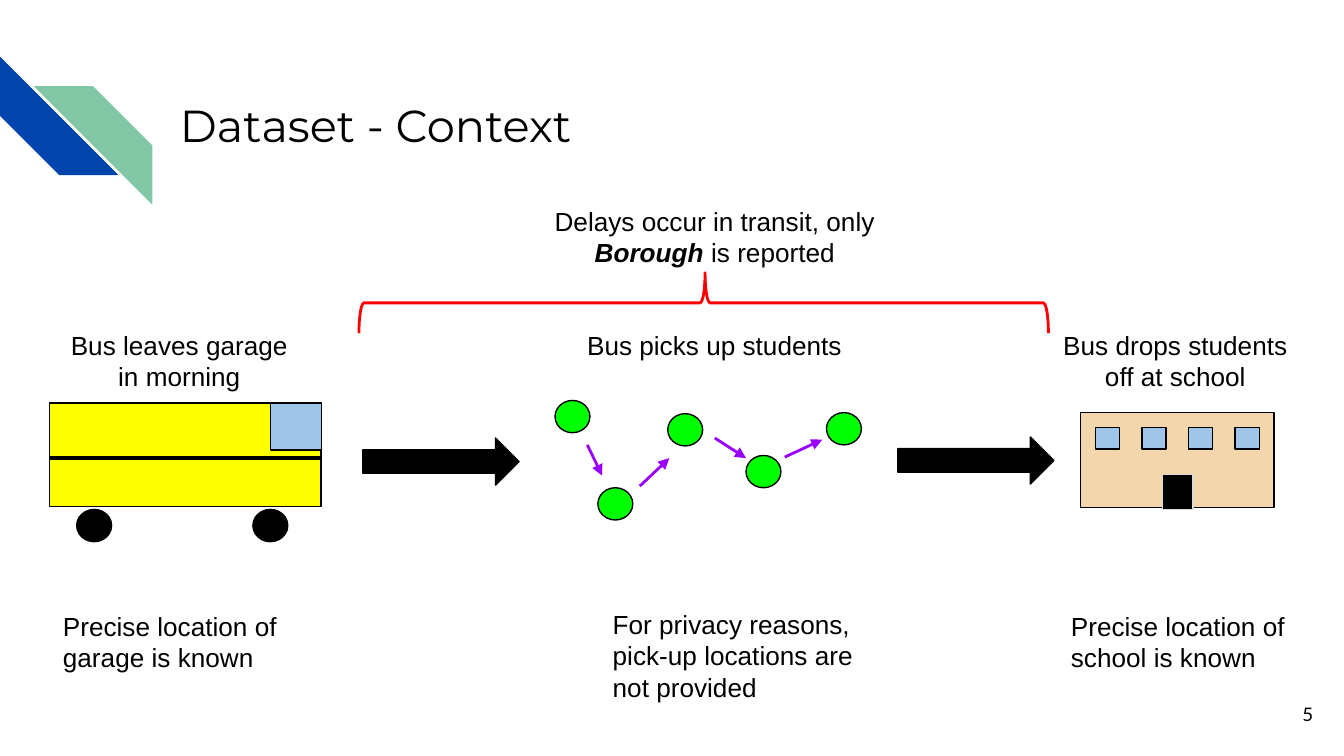
from lxml import etree
from pptx import Presentation
from pptx.dml.color import RGBColor
from pptx.enum import shapes, text
from pptx.oxml.ns import qn
from pptx.util import Cm, Pt

COLORS = {"black": "000000", "blue": "0145AC", "mint": "82C7A5", "yellow": "FFFF00",
          "glass": "9FC5E8", "green": "00FF00", "purple": "9900FF", "wall": "F4D6AD",
          "red": "FF0000", "gray": "D9D9D9"}
MSO, AL, ANCHOR = shapes.MSO_SHAPE, text.PP_ALIGN, text.MSO_ANCHOR

# All positions and sizes are in centimetres.
TITLE = "Dataset - Context"
CAPTIONS = [  # left, top, width, alignment, runs (text, emphasized)
    (0.94, 5.97, 4.9, AL.CENTER, [("Bus leaves garage in morning", False)]),
    (10.8, 5.97, 5.41, AL.CENTER, [("Bus picks up students", False)]),
    (19.51, 5.97, 5.41, AL.CENTER, [("Bus drops students off at school", False)]),
    (0.94, 11.28, 4.9, AL.LEFT, [("Precise location of garage is known", False)]),
    (19.99, 11.28, 4.9, AL.LEFT, [("Precise location of school is known", False)]),
    (11.33, 11.25, 5.13, AL.LEFT,
     [("For privacy reasons, pick-up locations are not provided", False)]),
    (9.98, 3.63, 7.06, AL.CENTER,
     [("Delays occur in transit, only ", False), ("Borough ", True), ("is reported", False)]),
]
STOPS = [(10.49, 7.57), (11.3, 9.22), (12.62, 7.82), (14.1, 8.61), (15.62, 7.8)]
LEGS = [(11.1, 8.41, 11.38, 8.99), (12.09, 9.19, 12.65, 8.66),
        (13.51, 8.28, 14.1, 8.66), (14.83, 8.64, 15.54, 8.31)]
WHEELS = [(1.45, 9.63), (4.78, 9.63)]
BLOCK_ARROWS = [(6.86, 8.28), (16.97, 8.26)]
DOT = (0.66, 0.61)
WINDOW_COUNT, WINDOW_LEFT, WINDOW_PITCH = 4, 20.7, 0.88


def rgb(name):
    return RGBColor.from_string(COLORS[name])


def add_shape(s, kind, box, fill=None, line="black", width=0.75, adj=(), rot=0):
    sp = s.shapes.add_shape(kind, *map(Cm, box))
    sp.shadow.inherit = False
    sp.rotation = rot
    for i, value in enumerate(adj):
        sp.adjustments[i] = value
    if fill:
        sp.fill.solid()
        sp.fill.fore_color.rgb = rgb(fill)
    else:
        sp.fill.background()
    if line:
        sp.line.color.rgb = rgb(line)
        sp.line.width = Pt(width)
    else:
        sp.line.fill.background()
    return sp


def add_line(s, ends, color, width, arrow=False):
    cx = s.shapes.add_connector(shapes.MSO_CONNECTOR.STRAIGHT, *map(Cm, ends))
    cx.line.color.rgb = rgb(color)
    cx.line.width = Pt(width)
    if arrow:
        etree.SubElement(cx.line._get_or_add_ln(), qn("a:tailEnd"), type="triangle")
    etree.SubElement(cx._element.spPr, qn("a:effectLst"))


def write(sp, runs, size, font, align=AL.LEFT, anchor=ANCHOR.TOP):
    tf = sp.text_frame
    frame = {"word_wrap": True, "auto_size": text.MSO_AUTO_SIZE.NONE, "vertical_anchor": anchor}
    frame.update({f"margin_{side}": Cm(0.25) for side in ("left", "top", "right", "bottom")})
    for name, value in frame.items():
        setattr(tf, name, value)
    p = tf.paragraphs[0]
    p.alignment = align
    for words, strong in runs:
        r = p.add_run()
        r.text = words
        for name, value in {"size": Pt(size), "name": font, "bold": strong,
                            "italic": strong}.items():
            setattr(r.font, name, value)
        r.font.color.rgb = rgb("black")


def add_heading(s):
    add_shape(s, MSO.DIAGONAL_STRIPE, (0, 1.07, 2.24, 2.24), "blue", None, rot=270)
    stripe = add_shape(s, MSO.DIAGONAL_STRIPE, (0.64, 1.63, 2.24, 2.24), "mint", None)
    stripe._element.spPr.find(qn("a:xfrm")).set("flipH", "1")
    title = s.shapes.title
    title.left, title.top, title.width, title.height = map(Cm, (3.15, 1.09, 20, 2.54))
    write(title, [(TITLE, False)], 24, "Montserrat", anchor=ANCHOR.MIDDLE)


def add_bus(s):
    add_shape(s, MSO.RECTANGLE, (0.94, 7.62, 5.13, 1.96), "yellow")
    for wheel in WHEELS:
        add_shape(s, MSO.OVAL, wheel + DOT, "black")
    add_line(s, (6.08, 8.66, 0.94, 8.66), "black", 2.25)
    add_shape(s, MSO.RECTANGLE, (5.11, 7.62, 0.97, 0.89), "glass")


def add_route(s):
    for corner in BLOCK_ARROWS:
        add_shape(s, MSO.RIGHT_ARROW, corner + (2.95, 0.89), "black")
    for stop in STOPS:
        add_shape(s, MSO.OVAL, stop + DOT, "green")
    for leg in LEGS:
        add_line(s, leg, "purple", 1.5, arrow=True)
    add_shape(s, MSO.RIGHT_BRACE, (12.73, -0.79, 1.14, 13.03), line="red", width=1.5,
              adj=(0.083, 0.502), rot=270)


def add_school(s):
    add_shape(s, MSO.RECTANGLE, (20.42, 7.8, 3.66, 1.8), "wall")
    for i in range(WINDOW_COUNT):
        add_shape(s, MSO.RECTANGLE, (WINDOW_LEFT + i * WINDOW_PITCH, 8.08, 0.46, 0.41), "glass")
    add_shape(s, MSO.PARALLELOGRAM, (21.97, 8.97, 0.58, 0.66), "black", "gray", adj=(0,))


def main():
    prs = Presentation()
    prs.slide_width, prs.slide_height = Cm(25.4), Cm(14.29)
    s = prs.slides.add_slide(prs.slide_layouts[5])
    add_heading(s)
    add_bus(s)
    add_route(s)
    add_school(s)
    for left, top, width, align, runs in CAPTIONS:
        box = s.shapes.add_textbox(*map(Cm, (left, top, width, 0.97)))
        write(box, runs, 14, "Arial", align)
    number = s.shapes.add_textbox(*map(Cm, (23.55, 12.95, 1.52, 1.09)))
    write(number, [("5", False)], 10, "Lato", AL.RIGHT, ANCHOR.MIDDLE)
    prs.save("out.pptx")


if __name__ == "__main__":
    main()
